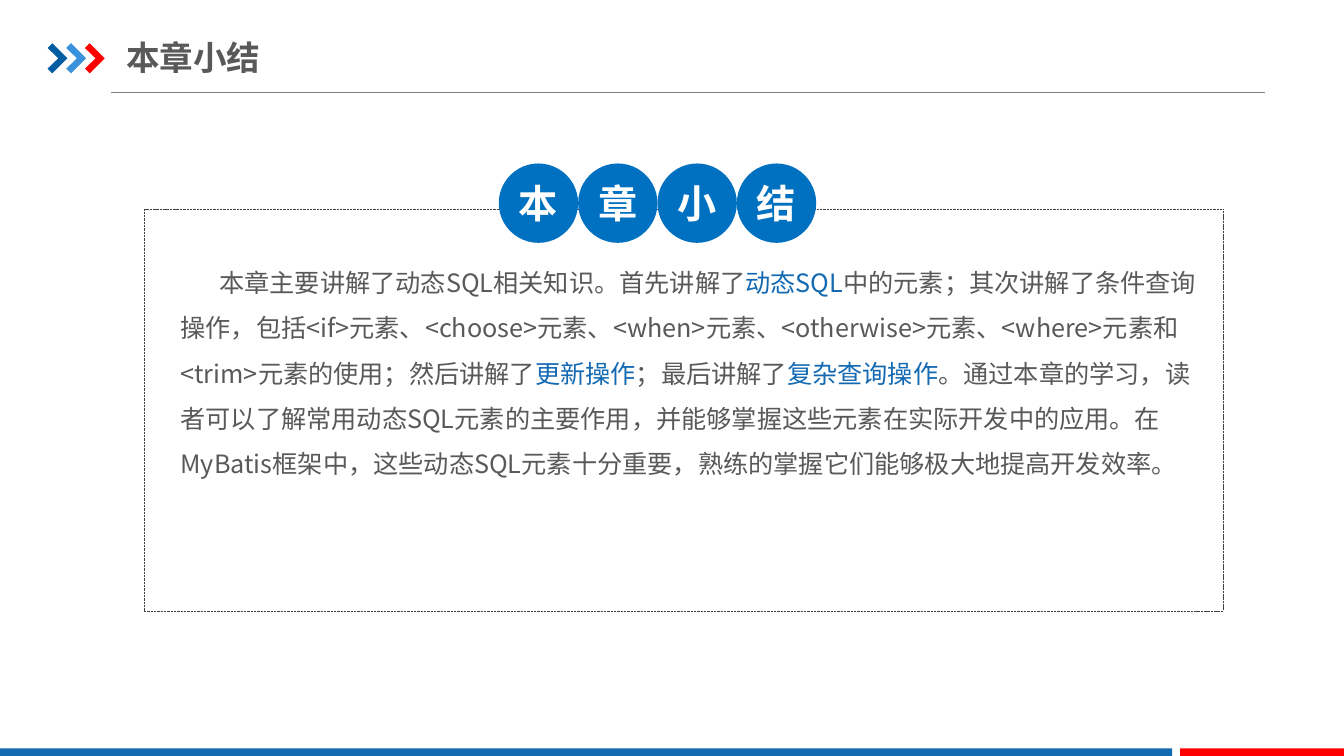
"""Build the chapter summary slide."""
from dataclasses import dataclass

from lxml import etree
from pptx import Presentation
from pptx.dml.color import RGBColor
from pptx.enum.dml import MSO_LINE
from pptx.enum.shapes import MSO_CONNECTOR, MSO_SHAPE
from pptx.enum.text import MSO_ANCHOR, MSO_AUTO_SIZE, PP_ALIGN
from pptx.oxml.ns import qn
from pptx.util import Cm, Pt

STRAIGHT = MSO_CONNECTOR.STRAIGHT
RECT, OVAL = MSO_SHAPE.RECTANGLE, MSO_SHAPE.OVAL
ROUND_RECT = MSO_SHAPE.ROUNDED_RECTANGLE
DASH = MSO_LINE.SQUARE_DOT
MIDDLE, TOP = MSO_ANCHOR.MIDDLE, MSO_ANCHOR.TOP
LEFT, CENTER = PP_ALIGN.LEFT, PP_ALIGN.CENTER
NO_FIT = MSO_AUTO_SIZE.NONE

FONT = "Noto Sans CJK SC"
NAVY = RGBColor(0x00, 0x5D, 0xA2)
SKY = RGBColor(0x39, 0x92, 0xDB)
RED = RGBColor(0xFF, 0x00, 0x00)
BLUE = RGBColor(0x13, 0x69, 0xB2)
CIRCLE_BLUE = RGBColor(0x00, 0x70, 0xC0)
TEXT_GRAY = RGBColor(0x59, 0x59, 0x59)
RULE_GRAY = RGBColor(0x80, 0x80, 0x80)
FRAME_GRAY = RGBColor(0x40, 0x40, 0x40)
WHITE = RGBColor(0xFF, 0xFF, 0xFF)

TITLE = "本章小结"
CHEVRON_COLORS = (NAVY, SKY, RED)
CHEVRON_POINTS = ((0, 0.12), (0.12, 0), (0.5, 0.38), (0.12, 0.76), (0, 0.64), (0.27, 0.38))
CHEVRON_LEFT, CHEVRON_TOP, CHEVRON_STEP = 1.2, 1.09, 0.47
CIRCLE_LEFT, CIRCLE_TOP, CIRCLE_SIZE = 12.57, 4.12, 2.0


@dataclass(frozen=True)
class Bar:
    left: float
    width: float
    color: RGBColor


@dataclass(frozen=True)
class Span:
    text: str
    color: RGBColor = TEXT_GRAY


BARS = (Bar(0, 29.54, BLUE), Bar(29.74, 4.13, RED))
SUMMARY = (
    Span("本章主要讲解了动态SQL相关知识。首先讲解了"),
    Span("动态SQL", BLUE),
    Span("中的元素；其次讲解了条件查询操作，包括<if>元素、<choose>元素、<when>元素、"
         "<otherwise>元素、<where>元素和<trim>元素的使用；然后讲解了"),
    Span("更新操作", BLUE),
    Span("；最后讲解了"),
    Span("复杂查询操作", BLUE),
    Span("。通过本章的学习，读者可以了解常用动态SQL元素的主要作用，并能够掌握这些元素在实际开发中的应用。"
         "在MyBatis框架中，这些动态SQL元素十分重要，熟练的掌握它们能够极大地提高开发效率。"),
)


def add_run(p, span: Span, size: float, bold: bool = False) -> None:
    """Append one formatted run."""
    r = p.add_run()
    r.text = span.text
    r.font.size = Pt(size)
    r.font.bold = bold
    r.font.color.rgb = span.color
    r.font.name = FONT
    etree.SubElement(r.font._element, qn("a:ea"), typeface=FONT)


def set_frame(tf, anchor: MSO_ANCHOR, side: float, edge: float, wrap: bool = True) -> None:
    """Set anchoring, wrapping and insets of a text frame."""
    tf.auto_size = NO_FIT
    tf.word_wrap = wrap
    tf.vertical_anchor = anchor
    tf.margin_left = tf.margin_right = Cm(side)
    tf.margin_top = tf.margin_bottom = Cm(edge)


def fill_plain(sp, color: RGBColor) -> None:
    """Give a shape a flat fill with no outline or shadow."""
    sp.shadow.inherit = False
    sp.fill.solid()
    sp.fill.fore_color.rgb = color
    sp.line.fill.background()


def add_rule(s) -> None:
    """Draw the thin line under the title."""
    rule = s.shapes.add_connector(STRAIGHT, Cm(2.79), Cm(2.32), Cm(31.88), Cm(2.32))
    rule.line.color.rgb = RULE_GRAY
    rule.line.width = Pt(0.5)
    etree.SubElement(rule._element.spPr, qn("a:effectLst"))


def add_chevron(s, index: int, color: RGBColor) -> None:
    """Draw one chevron of the title mark."""
    left = CHEVRON_LEFT + index * CHEVRON_STEP
    points = [(Cm(left + x), Cm(CHEVRON_TOP + y)) for x, y in CHEVRON_POINTS]
    builder = s.shapes.build_freeform(*points[0])
    builder.add_line_segments(points[1:], close=True)
    fill_plain(builder.convert_to_shape(), color)


def add_bar(s, bar: Bar) -> None:
    """Draw one part of the footer band."""
    sp = s.shapes.add_shape(RECT, Cm(bar.left), Cm(18.86), Cm(bar.width), Cm(0.22))
    fill_plain(sp, bar.color)


def set_title(s) -> None:
    """Place and format the title placeholder."""
    sp = s.shapes.title
    sp.left, sp.top, sp.width, sp.height = Cm(3.18), Cm(0.74), Cm(10.82), Cm(1.4)
    set_frame(sp.text_frame, MIDDLE, 0, 0.18)
    p = sp.text_frame.paragraphs[0]
    p.alignment = LEFT
    add_run(p, Span(TITLE), 24, bold=True)


def add_frame(s) -> None:
    """Draw the dashed frame."""
    sp = s.shapes.add_shape(ROUND_RECT, Cm(3.63), Cm(5.26), Cm(27.2), Cm(10.13))
    sp.adjustments[0] = 0
    sp.shadow.inherit = False
    sp.fill.background()
    sp.line.color.rgb = FRAME_GRAY
    sp.line.width = Pt(0.25)
    sp.line.dash_style = DASH


def add_circle(s, index: int, char: str) -> None:
    """Draw one heading circle with its character."""
    left = CIRCLE_LEFT + index * CIRCLE_SIZE
    sp = s.shapes.add_shape(OVAL, Cm(left), Cm(CIRCLE_TOP), Cm(CIRCLE_SIZE), Cm(CIRCLE_SIZE))
    fill_plain(sp, CIRCLE_BLUE)
    set_frame(sp.text_frame, MIDDLE, 0, 0, wrap=False)
    p = sp.text_frame.paragraphs[0]
    p.alignment = CENTER
    add_run(p, Span(char, WHITE), 28, bold=True)


def add_summary(s) -> None:
    """Add the summary paragraph."""
    tf = s.shapes.add_textbox(Cm(4.22), Cm(6.17), Cm(26.39), Cm(7.2)).text_frame
    set_frame(tf, TOP, 0.33, 0.18)
    p = tf.paragraphs[0]
    p.line_spacing = Pt(32.4)
    p._p.get_or_add_pPr().set("indent", str(Cm(0.98)))
    for span in SUMMARY:
        add_run(p, span, 18)


def main() -> None:
    """Build and save the slide."""
    prs = Presentation()
    prs.slide_width, prs.slide_height = Cm(33.87), Cm(19.05)
    s = prs.slides.add_slide(prs.slide_layouts[5])
    set_title(s)
    add_rule(s)
    for i, color in enumerate(CHEVRON_COLORS):
        add_chevron(s, i, color)
    for bar in BARS:
        add_bar(s, bar)
    add_frame(s)
    for i, char in enumerate(TITLE):
        add_circle(s, i, char)
    add_summary(s)
    prs.save("out.pptx")


if __name__ == "__main__":
    main()
